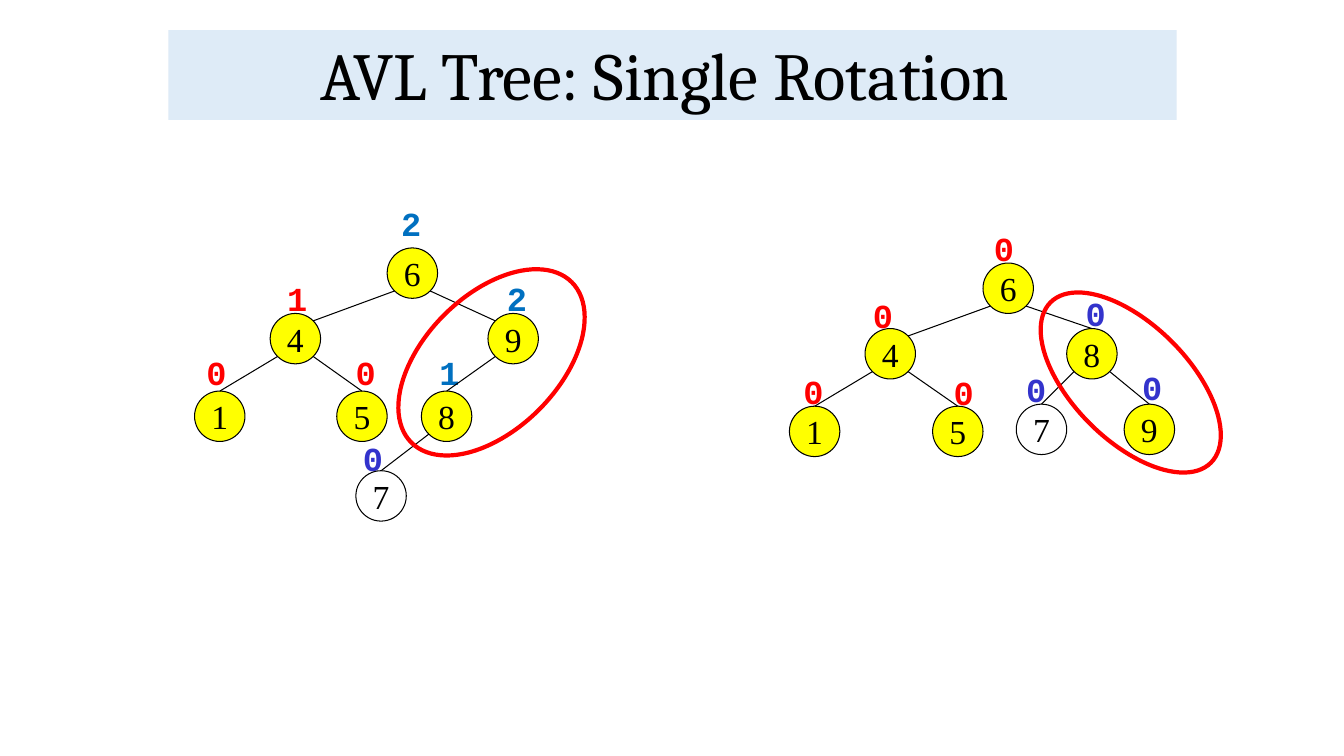
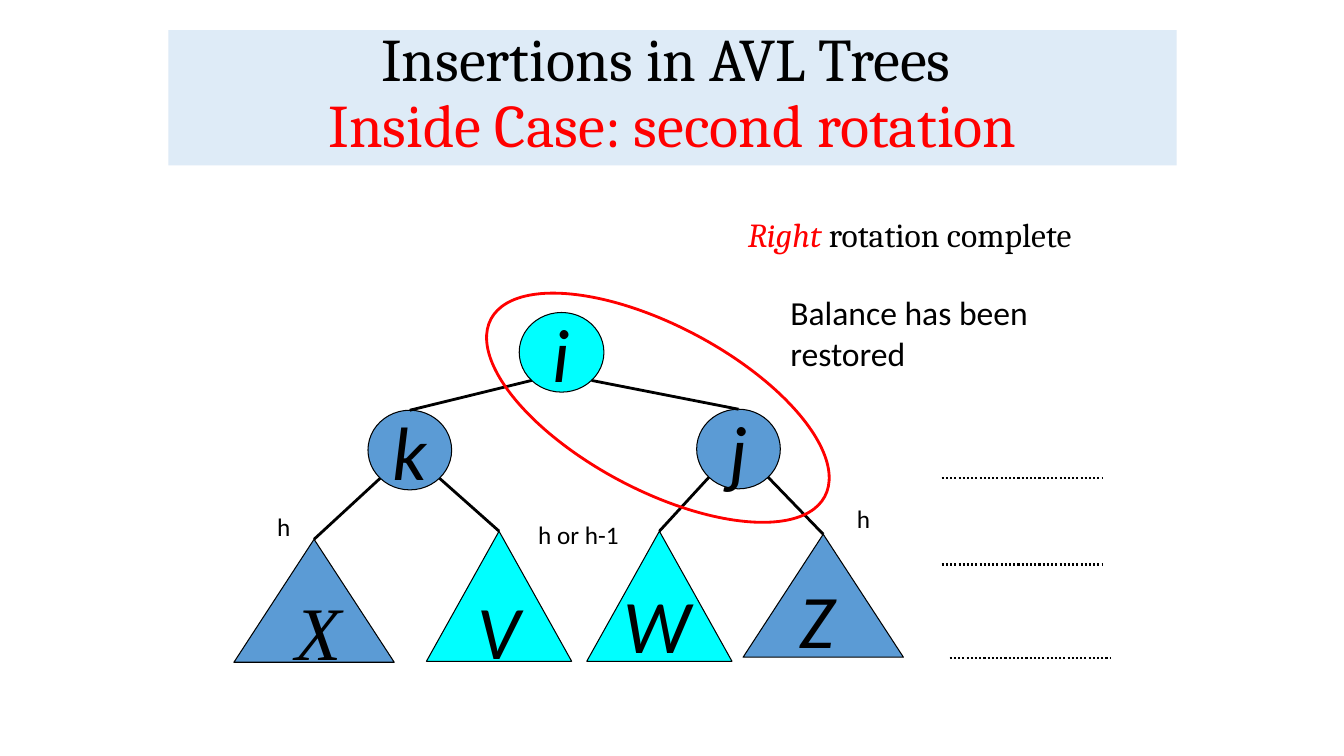
"""Build two slides on AVL tree rotations."""
from math import sqrt

from lxml import etree
from pptx import Presentation
from pptx.dml.color import RGBColor
from pptx.enum.dml import MSO_LINE
from pptx.enum.shapes import MSO_CONNECTOR, MSO_SHAPE
from pptx.enum.text import MSO_ANCHOR, MSO_AUTO_SIZE, PP_ALIGN
from pptx.oxml.ns import qn
from pptx.util import Inches, Pt

OVAL, TRIANGLE = MSO_SHAPE.OVAL, MSO_SHAPE.ISOSCELES_TRIANGLE
STRAIGHT, DOTTED = MSO_CONNECTOR.STRAIGHT, MSO_LINE.ROUND_DOT
TOP, MIDDLE, BOTTOM = MSO_ANCHOR.TOP, MSO_ANCHOR.MIDDLE, MSO_ANCHOR.BOTTOM
CENTER, NO_FIT = PP_ALIGN.CENTER, MSO_AUTO_SIZE.NONE

BLACK, RED, BAND = "000000", "FF0000", "DEEBF7"
YELLOW, BLUE, VIOLET = "FFFF00", "0070C0", "3333CC"
STEEL, CYAN = "5B9BD5", "00FFFF"
HEADING, BODY, SERIF, MONO = "Cambria", "Calibri", "Times New Roman", "Courier New"
NODE = 0.5

# name, left, top, fill, parent, whether the edge ends at the child's corner
BEFORE = [
    ("6", 3.84, 2.46, YELLOW, None, False),
    ("4", 2.68, 3.11, YELLOW, "6", True),
    ("9", 4.84, 3.11, YELLOW, "6", True),
    ("8", 4.18, 3.88, YELLOW, "9", False),
    ("1", 1.93, 3.88, YELLOW, "4", False),
    ("5", 3.34, 3.88, YELLOW, "4", False),
    ("7", 3.53, 4.67, None, "8", False),
]
AFTER = [
    ("6", 9.75, 2.61, YELLOW, None, False),
    ("4", 8.58, 3.26, YELLOW, "6", True),
    ("8", 10.58, 3.26, YELLOW, "6", False),
    ("1", 7.83, 4.03, YELLOW, "4", False),
    ("5", 9.25, 4.03, YELLOW, "4", False),
    ("7", 10.08, 4.01, None, "8", False),
    ("9", 11.15, 4.01, YELLOW, "8", False),
]
BALANCES = [
    ("2", 3.88, 1.96, BLUE), ("2", 4.93, 2.71, BLUE), ("1", 4.26, 3.44, BLUE),
    ("1", 2.75, 2.71, RED), ("0", 1.95, 3.44, RED), ("0", 3.43, 3.44, RED),
    ("0", 3.5, 4.3, VIOLET),
    ("0", 9.76, 2.21, RED), ("0", 8.56, 2.88, RED), ("0", 7.87, 3.63, RED),
    ("0", 9.36, 3.64, RED), ("0", 10.67, 2.86, VIOLET),
    ("0", 11.23, 3.59, VIOLET), ("0", 10.08, 3.61, VIOLET),
]
ROTATED = [((3.75, 2.93, 2.25, 1.33), -45), ((10.09, 3.22, 2.25, 1.15), 45)]

# name, kind, box, fill, parent, text inside the shape
SUBTREES = [
    ("i", OVAL, (5.15, 3.1, 0.84, 0.79), CYAN, None, "i"),
    ("k", OVAL, (3.65, 4.07, 0.83, 0.79), STEEL, "i", "k"),
    ("j", OVAL, (6.91, 4.06, 0.83, 0.79), STEEL, "i", "j"),
    ("X", TRIANGLE, (2.32, 5.35, 1.59, 1.22), STEEL, "k", ""),
    ("V", TRIANGLE, (4.23, 5.27, 1.44, 1.29), CYAN, "k", "V"),
    ("W", TRIANGLE, (5.82, 5.27, 1.44, 1.29), CYAN, "j", ""),
    ("Z", TRIANGLE, (7.37, 5.3, 1.59, 1.22), STEEL, "j", ""),
]
LETTERS = [("X", 2.83, 5.75, SERIF), ("W", 6.09, 5.68, BODY), ("Z", 7.83, 5.63, BODY)]
HEIGHTS = [("h", 2.65, 5.02, 0.36), ("h or h-1", 5.24, 5.1, 1.16), ("h", 8.4, 4.94, 0.36)]
LEVELS = [(9.34, 4.74), (9.34, 5.6), (9.42, 6.53)]


def rgb(color):
    """Turn a hex string into a colour."""
    return RGBColor.from_string(color)


def inches(*values):
    """Turn numbers into lengths."""
    return [Inches(v) for v in values]


def set_font(font, name, size, color, bold=False, italic=False):
    """Format a font."""
    font.name, font.size, font.bold, font.italic = name, Pt(size), bold, italic
    font.color.rgb = rgb(color)


def add_title(s, height, size, lines):
    """Place the title band; each line is a text and a colour."""
    sp = s.shapes.title
    sp.left, sp.top, sp.width, sp.height = inches(1.67, 0.3, 10, height)
    sp.fill.solid()
    sp.fill.fore_color.rgb = rgb(BAND)
    tf = sp.text_frame
    tf.auto_size, tf.vertical_anchor = NO_FIT, BOTTOM
    p = tf.paragraphs[0]
    p.alignment, p.line_spacing = CENTER, 0.9
    for i, (text, color) in enumerate(lines):
        if i:
            p.add_line_break()
        r = p.add_run()
        r.text = text
        set_font(r.font, HEADING, size, color)


def add_text(s, box, text, *font, anchor=TOP, **style):
    """Add a text box with one paragraph for each line."""
    tf = s.shapes.add_textbox(*inches(*box)).text_frame
    tf.word_wrap, tf.vertical_anchor = True, anchor
    tf.text = text
    for p in tf.paragraphs:
        set_font(p.font, *font, **style)
    return tf.paragraphs[0]


def add_figure(s, kind, box, fill=None, line=BLACK, weight=0.75, angle=0):
    """Add an outlined shape, filled or hollow."""
    sp = s.shapes.add_shape(kind, *inches(*box))
    sp.shadow.inherit = False
    sp.rotation = angle
    if fill:
        sp.fill.solid()
        sp.fill.fore_color.rgb = rgb(fill)
    else:
        sp.fill.background()
    sp.line.color.rgb, sp.line.width = rgb(line), Pt(weight)
    return sp


def add_node(s, kind, box, fill, text, *font, **style):
    """Add a tree node with its centred text."""
    sp = add_figure(s, kind, box, fill)
    if text:
        tf = sp.text_frame
        tf.word_wrap, tf.vertical_anchor = False, MIDDLE
        tf.text = text
        p = tf.paragraphs[0]
        p.alignment = CENTER
        set_font(p.font, *font, **style)
    return sp


def add_line(s, start, end, weight):
    """Add a plain black line."""
    c = s.shapes.add_connector(STRAIGHT, *(int(v) for v in (*start, *end)))
    c.line.color.rgb, c.line.width = rgb(BLACK), Pt(weight)
    etree.SubElement(c._element.spPr, qn("a:effectLst"))
    return c


def rim(sp, across, down):
    """Give the point on an oval's rim in a diagonal direction."""
    reach = sqrt(0.5) / 2
    return (sp.left + sp.width * (0.5 + across * reach),
            sp.top + sp.height * (0.5 + down * reach))


def add_edge(s, parent, child, weight, corner=False):
    """Join a parent's lower rim to the top or the upper corner of a child."""
    side = 1 if child.left + child.width / 2 > parent.left + parent.width / 2 else -1
    end = rim(child, -side, -1) if corner else (child.left + child.width / 2, child.top)
    c = add_line(s, rim(parent, side, 1), end, weight)
    if not corner:
        c.end_connect(child, 0)


def single_rotation(s):
    """Draw the tree before and after a single rotation."""
    add_title(s, 0.89, 48, [("AVL Tree: Single Rotation ", BLACK)])
    for text, x, y, color in BALANCES:
        add_text(s, (x, y, 0.4, 0.5), text, MONO, 24, color, bold=True)
    for tree in (BEFORE, AFTER):
        nodes = {}
        for name, x, y, fill, parent, corner in tree:
            nodes[name] = add_node(s, OVAL, (x, y, NODE, NODE), fill, name, SERIF, 24, BLACK)
            if parent:
                add_edge(s, nodes[parent], nodes[name], 0.75, corner)
    for box, angle in ROTATED:
        add_figure(s, OVAL, box, None, RED, 3, angle)


def second_rotation(s):
    """Draw the balanced tree after the second rotation."""
    add_title(s, 1.34, 43.2, [("Insertions in AVL Trees ", BLACK),
                              ("Inside Case: second rotation", RED)])
    nodes = {}
    for name, kind, box, fill, parent, text in SUBTREES:
        nodes[name] = add_node(s, kind, box, fill, text, BODY, 54, BLACK, italic=True)
        if parent:
            add_edge(s, nodes[parent], nodes[name], 2)
    for text, x, y, font in LETTERS:
        add_text(s, (x, y, 0.51, 1), text, font, 54, BLACK, italic=True)
    for x, y in LEVELS:
        add_line(s, inches(x, y), inches(x + 1.6, y), 1.5).line.dash_style = DOTTED
    add_figure(s, OVAL, (4.65, 3.23, 3.75, 1.63), None, RED, 2, 28)
    p = add_text(s, (7.32, 2.07, 3.76, 0.5), "Right ", HEADING, 24, BLACK)
    set_font(p.runs[0].font, HEADING, 24, RED, italic=True)
    p.add_run().text = "rotation complete"
    add_text(s, (7.74, 2.85, 2.97, 0.9), "Balance has been\nrestored",
             BODY, 24, BLACK, anchor=MIDDLE)
    for text, x, y, width in HEIGHTS:
        add_text(s, (x, y, width, 0.43), text, BODY, 18, BLACK)


def main():
    """Build and save the deck."""
    prs = Presentation()
    prs.slide_width, prs.slide_height = inches(13.33, 7.5)
    for build in (single_rotation, second_rotation):
        build(prs.slides.add_slide(prs.slide_layouts[5]))
    prs.save("out.pptx")


if __name__ == "__main__":
    main()
